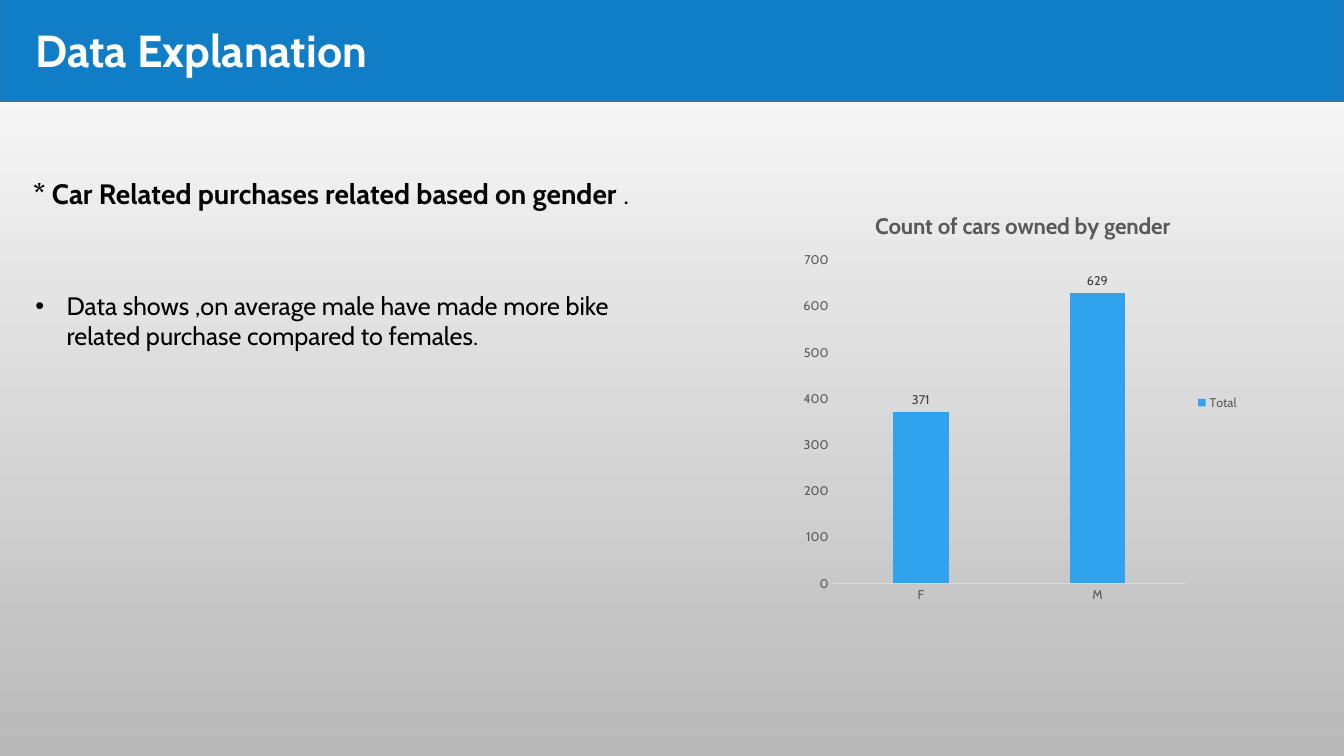
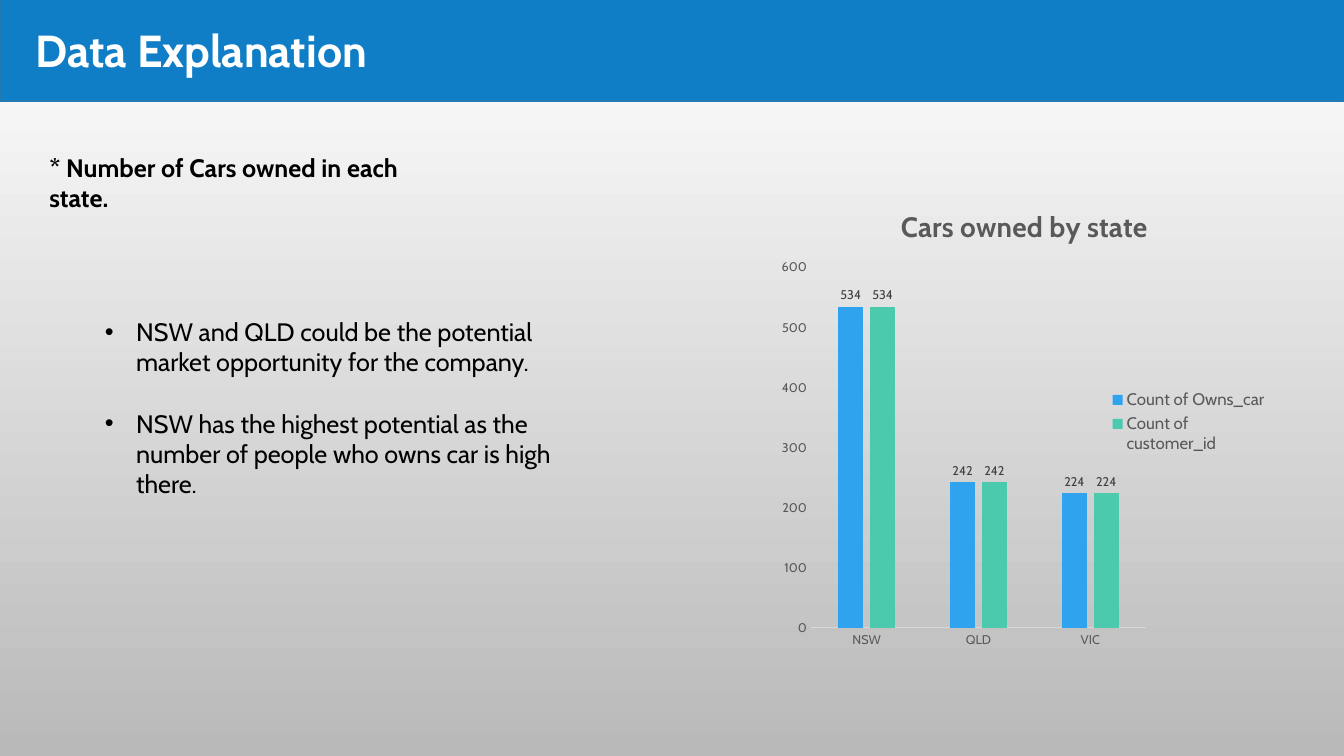
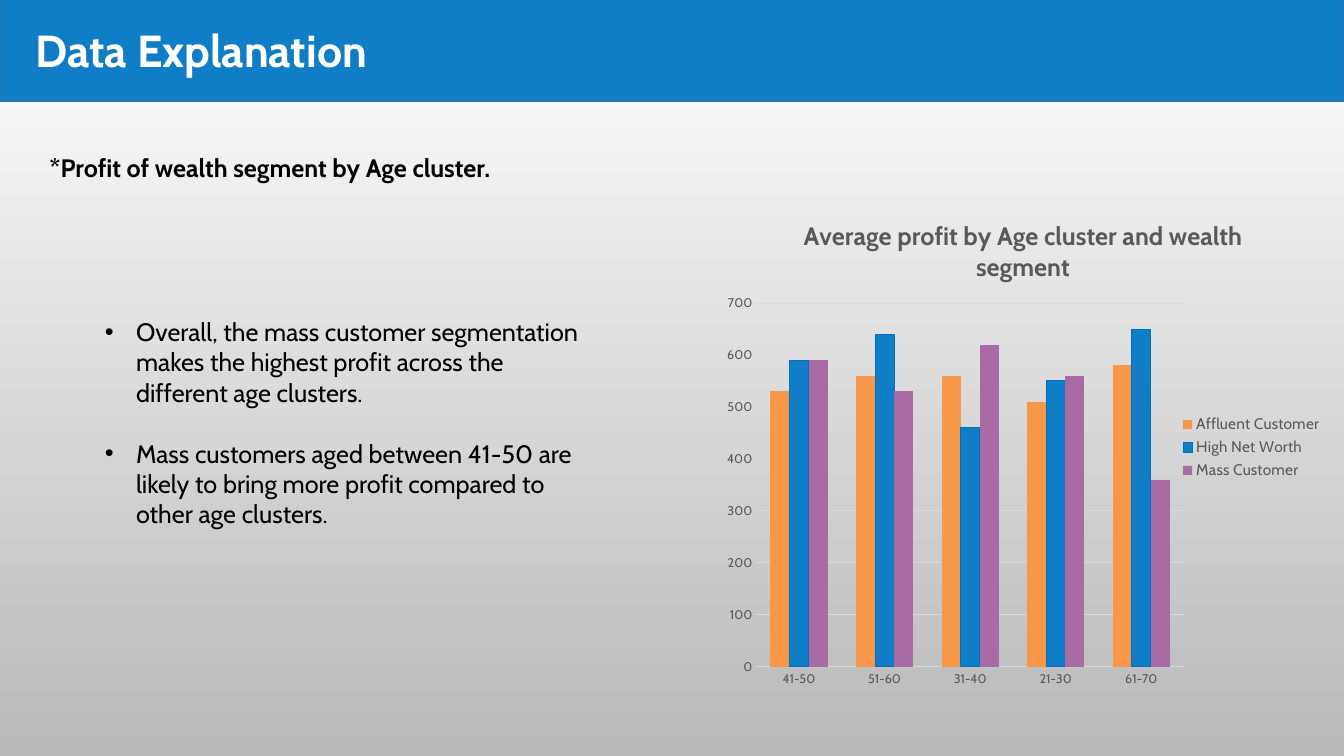
"""Build three data explanation slides, each with a heading, findings and a column chart."""
from dataclasses import dataclass

from lxml.etree import SubElement
from pptx import Presentation
from pptx.chart.data import CategoryChartData
from pptx.dml.color import RGBColor
from pptx.enum.chart import XL_CHART_TYPE as ChartType
from pptx.enum.chart import XL_LABEL_POSITION as LabelPos
from pptx.enum.chart import XL_LEGEND_POSITION as LegendPos
from pptx.enum.chart import XL_TICK_MARK as Tick
from pptx.enum.shapes import MSO_SHAPE as Shape
from pptx.enum.text import MSO_ANCHOR as Anchor
from pptx.enum.text import MSO_AUTO_SIZE as AutoSize
from pptx.enum.text import PP_ALIGN as Align
from pptx.oxml.ns import qn
from pptx.util import Inches, Pt


@dataclass(frozen=True)
class Theme:
    """Colours, font and type sizes of the deck."""
    font: str = "Cabin"
    ink: str = "000000"
    white: str = "FFFFFF"
    shade: str = "B9B9B9"
    band: str = "107EC6"
    band_line: str = "2379B0"
    series_line: str = "0070C0"
    sky: str = "2FA3EE"
    mint: str = "4BCAAD"
    orange: str = "F79747"
    violet: str = "A96BA6"
    axis_text: str = "595959"
    label_text: str = "404040"
    rule: str = "D9D9D9"
    title: int = 32
    heading: int = 20
    body: int = 18
    axis: int = 9
    chart: int = 10


T = Theme()
WIDTH, HEIGHT = Inches(13.33), Inches(7.5)
INDENT = Inches(0.31)
LIST_BOX = (7.05, 41.2, 37.81, 29.6)


def area(left, top, width, height):
    """Turn percentages of the slide into lengths."""
    return (int(WIDTH * left / 100), int(HEIGHT * top / 100),
            int(WIDTH * width / 100), int(HEIGHT * height / 100))


def place(sp, box):
    """Move and size a shape to a box in percentages."""
    sp.left, sp.top, sp.width, sp.height = area(*box)


def set_font(font, size, color=T.ink, bold=False):
    """Format a font in the deck's typeface."""
    font.name, font.size, font.bold = T.font, Pt(size), bold
    font.color.rgb = RGBColor.from_string(color)


def set_line(line, color, width):
    """Give a line its colour and width in points."""
    line.color.rgb = RGBColor.from_string(color)
    line.width = Pt(width)


def set_fill(fill, color):
    """Fill with one solid colour."""
    fill.solid()
    fill.fore_color.rgb = RGBColor.from_string(color)


def write(sp, *paragraphs, size=T.body, color=T.ink, bold=False, gap=0, bullets=False):
    """Write paragraphs into a shape, optionally as a bulleted list."""
    tf = sp.text_frame
    tf.word_wrap, tf.auto_size = True, AutoSize.NONE
    tf.vertical_anchor = Anchor.TOP
    for i, text in enumerate(paragraphs):
        p = tf.add_paragraph() if i else tf.paragraphs[0]
        p.alignment, p.space_before = Align.LEFT, Pt(gap if i else 0)
        if bullets:
            pPr = p._p.get_or_add_pPr()
            pPr.set("marL", str(INDENT))
            pPr.set("indent", str(-INDENT))
        r = p.add_run()
        r.text = text
        set_font(r.font, size, color, bold)


def set_background(master):
    """Give the master a vertical gradient."""
    fill = master.background.fill
    fill.gradient()
    fill.gradient_angle = 270
    for stop, color in zip(fill.gradient_stops, (T.white, T.shade)):
        stop.color.rgb = RGBColor.from_string(color)


def add_band(s):
    """Put the title band behind everything else."""
    sp = s.shapes.add_shape(Shape.RECTANGLE, *area(0, -1.33, 100, 14.67))
    sp.shadow.inherit = False
    set_fill(sp.fill, T.band)
    set_line(sp.line, T.band_line, 1.25)
    s.shapes._spTree.insert(2, sp._element)


def add_page(prs, heading, heading_box, findings, list_box, heading_size=T.body):
    """Add a slide with its band, title, heading and list of findings."""
    s = prs.slides.add_slide(prs.slide_layouts[1])
    add_band(s)
    title, body = s.placeholders
    place(title, (1.88, 2.4, 31.36, 8.53))
    write(title, "Data Explanation", size=T.title, color=T.white, bold=True)
    place(body, list_box)
    write(body, *findings, gap=22, bullets=True)
    sp = s.shapes.add_textbox(*area(*heading_box))
    write(sp, heading, size=heading_size, bold=True)
    return s


def set_plot_area(chart, shares):
    """Fix the inner plot area as shares of the chart."""
    plot_area = chart._chartSpace.chart.plotArea
    for old in plot_area.findall(qn("c:layout")):
        plot_area.remove(old)
    layout = SubElement(plot_area, qn("c:layout"))
    plot_area.insert(0, layout)
    manual = SubElement(layout, qn("c:manualLayout"))
    settings = [("layoutTarget", "inner"), ("xMode", "edge"), ("yMode", "edge")]
    for tag, val in settings + list(zip("xywh", shares)):
        SubElement(manual, qn(f"c:{tag}")).set("val", str(val))


def format_axes(chart, grid):
    """Style both axes and show gridlines on request."""
    for axis in (chart.category_axis, chart.value_axis):
        axis.major_tick_mark = axis.minor_tick_mark = Tick.NONE
        set_font(axis.tick_labels.font, T.axis, T.axis_text)
    set_line(chart.category_axis.format.line, T.rule, 0.75)
    values = chart.value_axis
    values.format.line.fill.background()
    values.has_major_gridlines = grid
    if grid:
        set_line(values.major_gridlines.format.line, T.rule, 0.75)


def show_values(plot):
    """Label each column with its value."""
    plot.has_data_labels = True
    labels = plot.data_labels
    labels.show_value, labels.position = True, LabelPos.OUTSIDE_END
    set_font(labels.font, T.axis, T.label_text)


def add_columns(s, box, title, cats, series, plot_box, title_size, legend_size,
                gap=219, overlap=-27, labels=True, grid=False):
    """Add a clustered column chart from (name, values, colour) series."""
    data = CategoryChartData()
    data.categories = cats
    for name, values, _ in series:
        data.add_series(name, values)
    chart = s.shapes.add_chart(ChartType.COLUMN_CLUSTERED, *area(*box), data).chart
    set_font(chart.font, T.chart)
    chart.has_title = True
    r = chart.chart_title.text_frame.paragraphs[0].add_run()
    r.text = title
    set_font(r.font, title_size, T.axis_text, True)
    chart.has_legend = True
    chart.legend.position = LegendPos.RIGHT
    chart.legend.include_in_layout = False
    set_font(chart.legend.font, legend_size, T.axis_text)
    plot = chart.plots[0]
    plot.gap_width, plot.overlap, plot.vary_by_categories = gap, overlap, False
    for ser, (_, _, color) in zip(plot.series, series):
        set_fill(ser.format.fill, color)
    if labels:
        show_values(plot)
    format_axes(chart, grid)
    set_plot_area(chart, plot_box)
    return chart


def add_gender_slide(prs):
    """Add the slide on purchases by gender."""
    s = add_page(
        prs, "* Car Related purchases related based on gender .", (1.73, 22.67, 52, 5.87),
        ["Data shows ,on average male have made more bike related purchase "
         "compared to females."],
        (1.88, 37.73, 47.11, 9.47), heading_size=T.heading)
    run = s.shapes[-1].text_frame.paragraphs[0].runs[0]
    run.text = run.text[:-1]
    dot = s.shapes[-1].text_frame.paragraphs[0].add_run()
    dot.text = "."
    set_font(dot.font, T.heading)
    add_columns(s, (59.26, 25.47, 33.68, 55.6), "Count of cars owned by gender",
                ["F", "M"], [("Total", (371, 629), T.sky)],
                (0.08, 0.16, 0.78, 0.77), title_size=16, legend_size=9)


def add_state_slide(prs):
    """Add the slide on cars owned by state."""
    s = add_page(
        prs, "* Number of Cars owned in each state.", (2.93, 19.47, 31.5, 9.33),
        ["NSW and QLD could be the potential market opportunity for the company.",
         "NSW has the highest potential as the number of people who owns car is high there."],
        LIST_BOX)
    counts = (534, 242, 224)
    add_columns(s, (57.31, 24.8, 37.81, 62), "Cars owned by state",
                ["NSW", "QLD", "VIC"],
                [("Count of Owns_car", counts, T.sky),
                 ("Count of customer_id", counts, T.mint)],
                (0.08, 0.17, 0.66, 0.77), title_size=20, legend_size=12)


def add_profit_slide(prs):
    """Add the slide on profit by age cluster and wealth segment."""
    s = add_page(
        prs, "*Profit of wealth segment by Age cluster.", (2.93, 19.47, 38.93, 5.33),
        ["Overall, the mass customer segmentation makes the highest profit across "
         "the different age clusters.",
         "Mass customers aged between 41-50 are likely to bring more profit compared "
         "to other age clusters."],
        LIST_BOX)
    chart = add_columns(
        s, (53.04, 26.27, 46.14, 65.87), "Average profit by Age cluster and wealth segment",
        ["41-50", "51-60", "31-40", "21-30", "61-70"],
        [("Affluent Customer", (530, 560, 560, 510, 580), T.orange),
         ("High Net Worth", (590, 640, 460, 550, 650), T.band),
         ("Mass Customer", (590, 530, 620, 560, 360), T.violet)],
        (0.07, 0.21, 0.69, 0.73), title_size=18, legend_size=11,
        gap=150, overlap=0, labels=False, grid=True)
    set_line(chart.plots[0].series[1].format.line, T.series_line, 0.75)


def main():
    """Build and save the deck."""
    prs = Presentation()
    prs.slide_width, prs.slide_height = WIDTH, HEIGHT
    set_background(prs.slide_master)
    add_gender_slide(prs)
    add_state_slide(prs)
    add_profit_slide(prs)
    prs.save("out.pptx")


if __name__ == "__main__":
    main()
